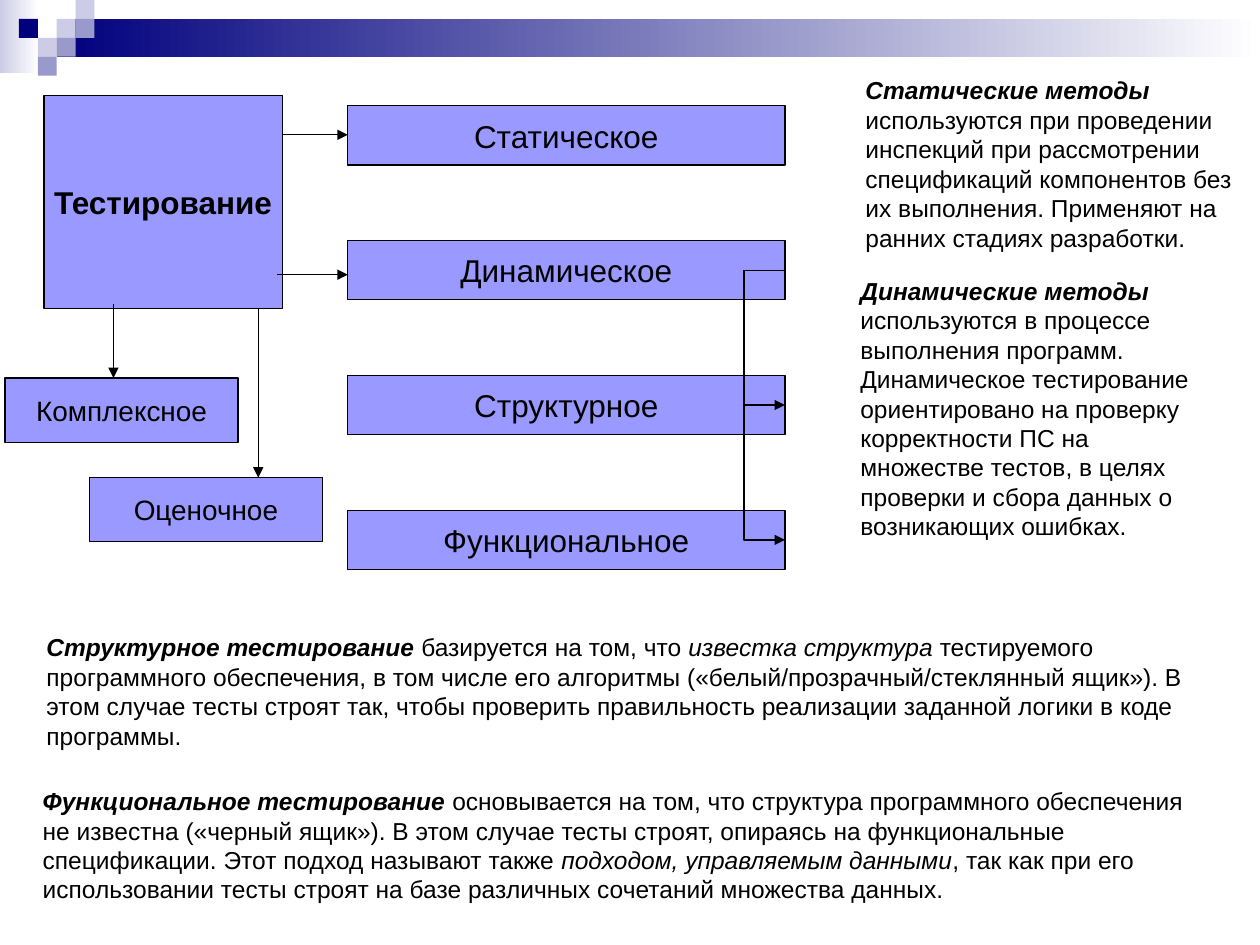
"""Build a slide that classifies software testing methods."""
from dataclasses import dataclass
from typing import NamedTuple

import lxml.etree
import pptx
import pptx.dml.color
import pptx.enum.shapes
import pptx.enum.text
import pptx.oxml.ns
import pptx.util

Inches = pptx.util.Inches
qn = pptx.oxml.ns.qn
ALIGN = pptx.enum.text.PP_ALIGN
CONNECTOR = pptx.enum.shapes.MSO_CONNECTOR


@dataclass(frozen=True)
class Theme:
    font: str = "Arial"
    ink: str = "000000"
    box: str = "9999FF"
    navy: str = "00007D"
    mid: str = "9999CC"
    pale: str = "CCCCE6"
    white: str = "FFFFFF"
    title: float = 18
    small: float = 16
    body: float = 14
    line: float = 0.75


class Run(NamedTuple):
    text: str
    bold: bool = False
    italic: bool = False


class Box(NamedTuple):
    text: str
    x: float
    y: float
    w: float
    h: float
    size: float
    bold: bool = False


class Note(NamedTuple):
    x: float
    y: float
    w: float
    h: float
    paragraphs: list
    before: float = 0


class Arrow(NamedTuple):
    x1: float
    y1: float
    x2: float
    y2: float


THEME = Theme()
TILE = 0.15
TILES = [(3, 1, THEME.pale), (4, 0, THEME.pale), (4, 1, THEME.mid), (2, 2, THEME.pale),
         (1, 1, THEME.navy), (3, 2, THEME.mid), (2, 3, THEME.mid)]
BANDS = [(0, 0, 0.31, 0.58, THEME.pale), (0.45, 0.15, 9.55, 0.3, THEME.navy)]

KINDS = ["Статическое", "Динамическое", "Структурное", "Функциональное"]
KIND_TOP, KIND_STEP = 0.84, 1.07
ELBOW_WIDTH, ELBOW_REACH = 0.01, 0.34

BOXES = [
    Box("Тестирование", 0.35, 0.76, 1.89, 1.69, THEME.title, True),
    Box("Комплексное", 0.04, 3, 1.85, 0.51, THEME.small),
    Box("Оценочное", 0.71, 3.79, 1.85, 0.51, THEME.small),
]
ARROWS = [Arrow(2.24, 1.07, 2.76, 1.07), Arrow(2.2, 2.18, 2.76, 2.18),
          Arrow(0.9, 2.41, 0.9, 3), Arrow(2.05, 2.45, 2.05, 3.79)]

NOTES = [
    Note(6.77, 0.55, 3.19, 1.5, [
        [Run("Статические методы ", True, True),
         Run("используются при проведении инспекций при рассмотрении")],
        [Run("спецификаций компонентов без их выполнения. Применяют на ранних стадиях разработки.")],
    ]),
    Note(6.73, 2.14, 3.19, 2.2, [
        [Run("Динамические методы ", True, True),
         Run("используются в процессе выполнения программ.")],
        [Run("Динамическое тестирование ориентировано на проверку корректности ПС на")],
        [Run("множестве тестов, в целях проверки и сбора данных о возникающих ошибках.")],
    ], 8.8),
    Note(0.27, 4.97, 9.29, 1.04, [
        [Run("Структурное тестирование ", True, True), Run("базируется на том, что "),
         Run("известка структура ", italic=True), Run("тестируемого")],
        [Run("программного обеспечения, в том числе его алгоритмы («белый/прозрачный/стеклянный "
             "ящик»). В этом случае тесты строят так, чтобы проверить правильность реализации "
             "заданной логики в коде")],
        [Run("программы.")],
    ]),
    Note(0.24, 6.19, 9.29, 1.04, [
        [Run("Функциональное тестирование ", True, True),
         Run("основывается на том, что структура программного обеспечения не известна "
             "(«черный ящик»). В этом случае тесты строят, опираясь на функциональные")],
        [Run("спецификации. Этот подход называют также "),
         Run("подходом, управляемым данными", italic=True), Run(", так как при его")],
        [Run("использовании тесты строят на базе различных сочетаний множества данных.")],
    ]),
]


def rgb(color: str) -> pptx.dml.color.RGBColor:
    return pptx.dml.color.RGBColor.from_string(color)


def add_text(tf, paragraphs: list, *, size: float, align=ALIGN.LEFT, before: float = 0) -> None:
    for i, runs in enumerate(paragraphs):
        p = tf.paragraphs[0] if i == 0 else tf.add_paragraph()
        p.alignment = align
        p.space_before = pptx.util.Pt(before if i == 0 else 0)
        for run in runs:
            r = p.add_run()
            r.text = run.text
            r.font.name = THEME.font
            r.font.size = pptx.util.Pt(size)
            r.font.bold, r.font.italic = run.bold, run.italic
            r.font.color.rgb = rgb(THEME.ink)


def add_rect(s, x: float, y: float, w: float, h: float):
    sp = s.shapes.add_shape(pptx.enum.shapes.MSO_SHAPE.RECTANGLE,
                            Inches(x), Inches(y), Inches(w), Inches(h))
    sp.shadow.inherit = False
    sp.line.fill.background()
    return sp


def add_band(s, x: float, y: float, w: float, h: float, color: str) -> None:
    fill = add_rect(s, x, y, w, h).fill
    fill.gradient()
    fill.gradient_angle = 0
    for stop, shade in zip(fill.gradient_stops, (color, THEME.white)):
        stop.color.rgb = rgb(shade)


def add_tile(s, column: int, row: int, color: str) -> None:
    sp = add_rect(s, column * TILE, row * TILE, TILE, TILE)
    sp.fill.solid()
    sp.fill.fore_color.rgb = rgb(color)


def add_box(s, box: Box):
    sp = add_rect(s, box.x, box.y, box.w, box.h)
    sp.fill.solid()
    sp.fill.fore_color.rgb = rgb(THEME.box)
    sp.line.color.rgb = rgb(THEME.ink)
    sp.line.width = pptx.util.Pt(THEME.line)
    tf = sp.text_frame
    tf.word_wrap = False
    tf.vertical_anchor = pptx.enum.text.MSO_ANCHOR.MIDDLE
    add_text(tf, [[Run(box.text, box.bold)]], size=box.size, align=ALIGN.CENTER)
    return sp


def add_note(s, note: Note) -> None:
    sp = s.shapes.add_textbox(Inches(note.x), Inches(note.y), Inches(note.w), Inches(note.h))
    sp.text_frame.word_wrap = True
    add_text(sp.text_frame, note.paragraphs, size=THEME.body, before=note.before)


def add_arrow(s, arrow: Arrow, kind=CONNECTOR.STRAIGHT):
    sp = s.shapes.add_connector(kind, Inches(arrow.x1), Inches(arrow.y1),
                                Inches(arrow.x2), Inches(arrow.y2))
    sp.line.color.rgb = rgb(THEME.ink)
    sp.line.width = pptx.util.Pt(THEME.line)
    lxml.etree.SubElement(sp.line._get_or_add_ln(), qn("a:tailEnd"), type="triangle")
    lxml.etree.SubElement(sp._element.spPr, qn("a:effectLst"))
    return sp


def add_elbow(s, source, target) -> None:
    sp = add_arrow(s, Arrow(0, 0, 1, 1), CONNECTOR.ELBOW)
    sp.begin_connect(source, 3)
    sp.end_connect(target, 3)
    sp.width = Inches(ELBOW_WIDTH)
    guides = sp._element.spPr.find(qn("a:prstGeom")).get_or_add_avLst()
    reach = round(ELBOW_REACH / ELBOW_WIDTH * 100000)
    lxml.etree.SubElement(guides, qn("a:gd"), name="adj1", fmla=f"val {reach}")


def main() -> None:
    prs = pptx.Presentation()
    prs.slide_width, prs.slide_height = Inches(10), Inches(7.5)
    s = prs.slides.add_slide(prs.slide_layouts[6])
    for band in BANDS:
        add_band(s, *band)
    for tile in TILES:
        add_tile(s, *tile)
    for box in BOXES:
        add_box(s, box)
    kinds = [add_box(s, Box(text, 2.76, KIND_TOP + i * KIND_STEP, 3.47, 0.47, THEME.title))
             for i, text in enumerate(KINDS)]
    for arrow in ARROWS:
        add_arrow(s, arrow)
    for target in kinds[2:]:
        add_elbow(s, kinds[1], target)
    for note in NOTES:
        add_note(s, note)
    prs.save("out.pptx")


if __name__ == "__main__":
    main()
